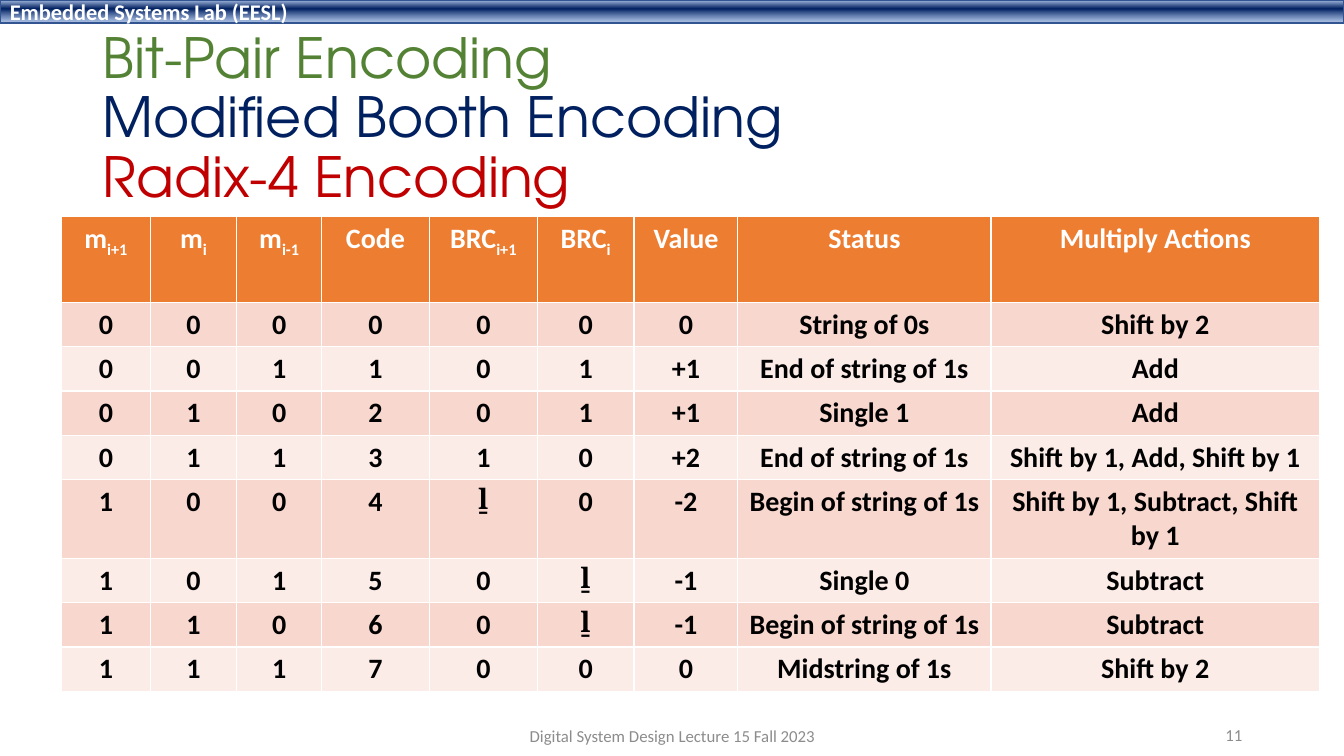
from lxml import etree
from pptx import Presentation
from pptx.dml.color import RGBColor
from pptx.enum.shapes import MSO_SHAPE
from pptx.enum.text import MSO_ANCHOR, PP_ALIGN
from pptx.oxml import parse_xml
from pptx.oxml.ns import nsdecls, qn
from pptx.util import Inches, Pt

COLORS = {
    "white": "FFFFFF", "black": "000000", "green": "548235", "navy": "002060",
    "red": "C00000", "gray": "8C8C8C", "orange": "ED7D31",
    "band_dark": "F8D7CE", "band_light": "FCECE8",
    "bar_line": "325491", "bar_top": "ABC0E4", "bar_bottom": "7E9ED6",
}


def style_font(font, size, color, name="Calibri", bold=False):
    font.size = Pt(size)
    font.name = name
    font.bold = bold
    font.color.rgb = RGBColor.from_string(COLORS[color])


def add_text_box(left, top, width, height, align):
    frame = page.shapes.add_textbox(
        Inches(left), Inches(top), Inches(width), Inches(height)).text_frame
    frame.word_wrap = True
    frame.vertical_anchor = MSO_ANCHOR.MIDDLE
    frame.paragraphs[0].alignment = align
    return frame.paragraphs[0]


deck = Presentation()
deck.slide_width = Inches(13.33)
deck.slide_height = Inches(7.5)
page = deck.slides.add_slide(deck.slide_layouts[6])

bar = page.shapes.add_shape(MSO_SHAPE.RECTANGLE, 0, 0, deck.slide_width, Inches(0.23))
bar.shadow.inherit = False
bar.line.color.rgb = RGBColor.from_string(COLORS["bar_line"])
bar.line.width = Pt(1)
gradient = parse_xml(
    f'<a:gradFill {nsdecls("a")} rotWithShape="1"><a:gsLst/>'
    '<a:lin ang="5400000" scaled="0"/></a:gradFill>')
for position, color, opacity in [(2, "bar_top", 100), (38, "navy", 100), (93, "bar_bottom", 64)]:
    stop = etree.SubElement(gradient[0], qn("a:gs"), pos=str(position * 1000))
    shade = etree.SubElement(stop, qn("a:srgbClr"), val=COLORS[color])
    if opacity < 100:
        etree.SubElement(shade, qn("a:alpha"), val=str(opacity * 1000))
bar._element.spPr.find(qn("a:prstGeom")).addnext(gradient)
bar.text_frame.vertical_anchor = MSO_ANCHOR.MIDDLE
para = bar.text_frame.paragraphs[0]
para.text = "Embedded Systems Lab (EESL)"
para.alignment = PP_ALIGN.LEFT
style_font(para.font, 16, "white", bold=True)

title = add_text_box(0.92, 0.28, 11.5, 1.82, PP_ALIGN.LEFT)
title.line_spacing = 0.9
title_lines = [("Bit-Pair Encoding", "green"), ("Modified Booth Encoding", "navy"),
               ("Radix-4 Encoding", "red")]
for index, (text, color) in enumerate(title_lines):
    if index:
        title.add_line_break()
    span = title.add_run()
    span.text = text
    style_font(span.font, 39.6, color, "TeX Gyre Adventor")

footer = add_text_box(4.42, 7.1, 4.5, 0.4, PP_ALIGN.CENTER)
footer.text = "Digital System Design Lecture 15 Fall 2023"
number = add_text_box(9.42, 7.09, 3, 0.4, PP_ALIGN.RIGHT)
number.text = "11"
for para in (footer, number):
    style_font(para.font, 12, "gray")

headers = [("m", "i+1"), ("m", "i"), ("m", "i-1"), ("Code", ""), ("BRC", "i+1"),
           ("BRC", "i"), ("Value", ""), ("Status", ""), ("Multiply Actions", "")]
encodings = [
    ("0", "0", "0", "0", "0", "0", "0", "String of 0s", "Shift by 2"),
    ("0", "0", "1", "1", "0", "1", "+1", "End of string of 1s", "Add"),
    ("0", "1", "0", "2", "0", "1", "+1", "Single 1", "Add"),
    ("0", "1", "1", "3", "1", "0", "+2", "End of string of 1s", "Shift by 1, Add, Shift by 1"),
    ("1", "0", "0", "4", "ḻ", "0", "-2", "Begin of string of 1s", "Shift by 1, Subtract, Shift by 1"),
    ("1", "0", "1", "5", "0", "ḻ", "-1", "Single 0", "Subtract"),
    ("1", "1", "0", "6", "0", "ḻ", "-1", "Begin of string of 1s", "Subtract"),
    ("1", "1", "1", "7", "0", "0", "0", "Midstring of 1s", "Shift by 2"),
]
column_widths = [0.88, 0.86, 0.84, 1.07, 1.07, 0.96, 1.03, 2.51, 3.26]
row_heights = [0.85, 0.44, 0.44, 0.44, 0.44, 0.78, 0.44, 0.44, 0.44]
rows = [headers] + [[(text, "") for text in encoding] for encoding in encodings]

table = page.shapes.add_table(
    len(rows), len(headers), Inches(0.61), Inches(2.15),
    Inches(sum(column_widths)), Inches(sum(row_heights))).table
for column, width in zip(table.columns, column_widths):
    column.width = Inches(width)
for row_index, (entries, height) in enumerate(zip(rows, row_heights)):
    table.rows[row_index].height = Inches(height)
    band = "band_dark" if row_index % 2 else "band_light"
    for column_index, (text, subscript) in enumerate(entries):
        cell = table.cell(row_index, column_index)
        cell.fill.solid()
        cell.fill.fore_color.rgb = RGBColor.from_string(COLORS[band if row_index else "orange"])
        para = cell.text_frame.paragraphs[0]
        para.alignment = PP_ALIGN.CENTER
        para.add_run().text = text
        if subscript:
            span = para.add_run()
            span.text = subscript
            span.font._element.set("baseline", "-25000")
        style_font(para.font, 20, "black" if row_index else "white",
                   "Cambria" if text == "ḻ" else "Calibri", bold=True)

deck.save("out.pptx")
